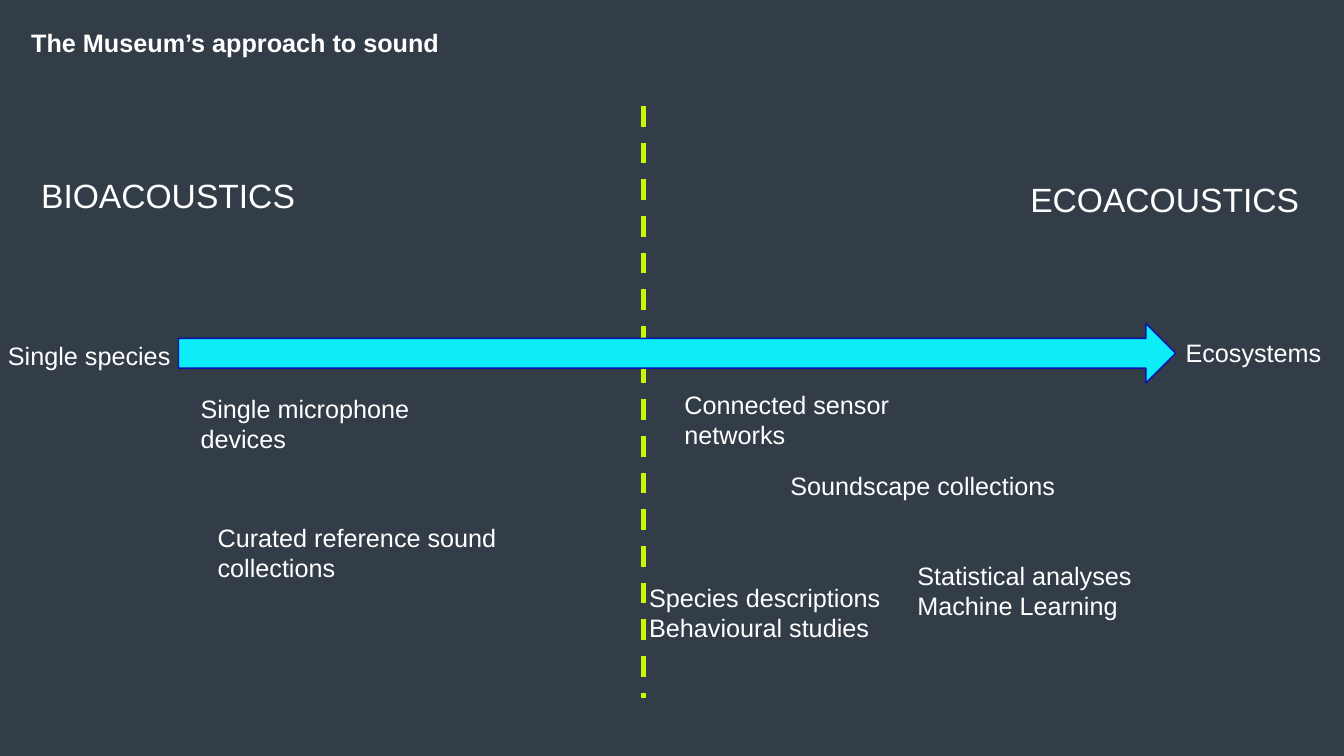
import pptx
import pptx.util
import pptx.dml.color
import pptx.enum.dml
import pptx.enum.shapes
import pptx.enum.text
import pptx.oxml

Inches = pptx.util.Inches
Pt = pptx.util.Pt
RGBColor = pptx.dml.color.RGBColor
PP_ALIGN = pptx.enum.text.PP_ALIGN
MSO_ANCHOR = pptx.enum.text.MSO_ANCHOR
MSO_AUTO_SIZE = pptx.enum.text.MSO_AUTO_SIZE

SLATE = RGBColor(0x33, 0x3D, 0x47)
WHITE = RGBColor(0xFF, 0xFF, 0xFF)
LIME = RGBColor(0xC9, 0xF7, 0x08)
CYAN = RGBColor(0x0D, 0xED, 0xF7)
BLUE = RGBColor(0x0A, 0x11, 0xB5)

TITLE = "The Museum’s approach to sound"
TITLE_BOX = (0.31, 0.26, 6.3, 0.3)
DIVIDER = (6.38, 1.05, 6.38, 6.92)
ARROW = (1.77, 3.21, 9.89, 0.59)
HEADINGS = [
    (["BIOACOUSTICS"], 0.31, 1.69, 2.74),
    (["ECOACOUSTICS"], 10.12, 1.73, 2.89),
]
LABELS = [
    (["Single species"], -0.02, 3.33, 2.21),
    (["Ecosystems"], 11.66, 3.3, 1.85),
    (["Single microphone devices"], 1.89, 3.85, 3.12),
    (["Curated reference sound collections"], 2.06, 5.13, 3.12),
    (["Connected sensor networks"], 6.69, 3.81, 3.12),
    (["Soundscape collections"], 7.74, 4.62, 3.12),
    (["Species descriptions", "Behavioural studies"], 6.34, 5.73, 2.87),
    (["Statistical analyses", "Machine Learning"], 9, 5.51, 3.12),
]
TWO_LINE_WIDTH = 2.5
BODY_FONT = {"name": "Arial", "size": Pt(18), "bold": False}
HEADING_FONT = {**BODY_FONT, "size": Pt(24)}
TITLE_FONT = {**BODY_FONT, "bold": True}
TITLE_FRAME = {
    "margin_left": 0, "margin_top": 0, "margin_right": 0, "margin_bottom": 0,
    "vertical_anchor": MSO_ANCHOR.MIDDLE, "word_wrap": True,
    "auto_size": MSO_AUTO_SIZE.SHAPE_TO_FIT_TEXT,
}


def set_all(target, values):
    for name, value in values.items():
        setattr(target, name, value)


def write(tf, lines, font):
    for i, line in enumerate(lines):
        p = tf.paragraphs[0] if i == 0 else tf.add_paragraph()
        p.alignment = PP_ALIGN.LEFT
        r = p.add_run()
        r.text = line
        set_all(r.font, font)
        r.font.color.rgb = WHITE


def add_text(s, lines, left, top, width, height, font, wrap):
    sp = s.shapes.add_textbox(*map(Inches, (left, top, width, height)))
    tf = sp.text_frame
    tf.word_wrap = wrap
    tf.auto_size = MSO_AUTO_SIZE.SHAPE_TO_FIT_TEXT
    write(tf, lines, font)


def main():
    prs = pptx.Presentation()
    prs.slide_width, prs.slide_height = Inches(13.33), Inches(7.5)
    s = prs.slides.add_slide(prs.slide_layouts[5])
    s.background.fill.solid()
    s.background.fill.fore_color.rgb = SLATE

    title = s.shapes.title
    set_all(title, dict(zip(("left", "top", "width", "height"), map(Inches, TITLE_BOX))))
    set_all(title.text_frame, TITLE_FRAME)
    write(title.text_frame, [TITLE], TITLE_FONT)
    title.text_frame.paragraphs[0].line_spacing = 1.05

    divider = s.shapes.add_connector(
        pptx.enum.shapes.MSO_CONNECTOR.STRAIGHT, *map(Inches, DIVIDER))
    divider.line.color.rgb = LIME
    divider.line.width = Pt(3.75)
    divider.line.dash_style = pptx.enum.dml.MSO_LINE.DASH
    divider.element.spPr.append(pptx.oxml.parse_xml(
        '<a:effectLst xmlns:a="http://schemas.openxmlformats.org/drawingml/2006/main"/>'))

    arrow = s.shapes.add_shape(
        pptx.enum.shapes.MSO_SHAPE.RIGHT_ARROW, *map(Inches, ARROW))
    arrow.shadow.inherit = False
    arrow.fill.solid()
    arrow.fill.fore_color.rgb = CYAN
    arrow.line.color.rgb = BLUE
    arrow.line.width = Pt(1)

    for lines, left, top, width in HEADINGS:
        add_text(s, lines, left, top, width, 0.5, HEADING_FONT, False)
    for lines, left, top, width in LABELS:
        two_lines = width > TWO_LINE_WIDTH and lines != ["Soundscape collections"]
        add_text(s, lines, left, top, width, 0.71 if two_lines else 0.4, BODY_FONT, True)

    prs.save("out.pptx")


if __name__ == "__main__":
    main()
